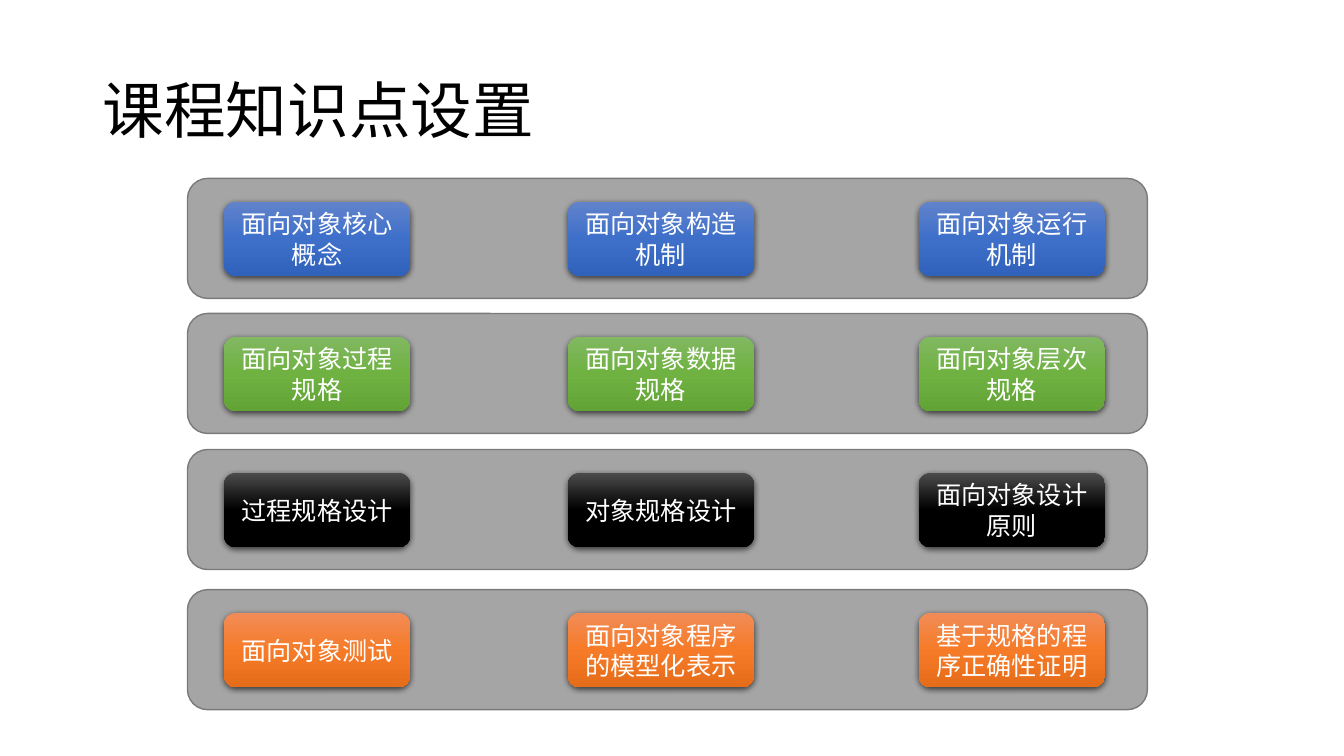
from dataclasses import dataclass

from lxml import etree
from pptx import Presentation, util as u
from pptx.dml.color import RGBColor
from pptx.enum import shapes, text
from pptx.oxml.ns import qn
from pptx.shapes.autoshape import Shape
from pptx.slide import Slide

Gradient = tuple[str, str, str]


@dataclass(frozen=True)
class Theme:
    font: str = "Calibri"
    title_size: int = 44
    card_size: int = 18
    title_color: str = "000000"
    card_text: str = "FFFFFF"
    band_fill: str = "A5A5A5"
    band_line: str = "7A7A7A"
    shadow: str = "000000"
    blue: Gradient = ("6183CB", "3E70CA", "3062BB")
    green: Gradient = ("81B861", "6FB242", "62A336")
    black: Gradient = ("4B4B4B", "000000", "000000")
    orange: Gradient = ("F18C57", "F67B28", "E56C19")


@dataclass(frozen=True)
class Area:
    column: int
    row: int
    columns: int
    rows: int

    def lengths(self) -> list[int]:
        cells = (self.column, self.row, self.columns, self.rows)
        return [CELL * count for count in cells]


@dataclass(frozen=True)
class Band:
    row: int
    colors: Gradient
    topics: tuple[str, str, str]


THEME = Theme()
CELL = u.Inches(0.01)
PAGE_COLUMNS, PAGE_ROWS = 1333, 750
TITLE_AREA = Area(92, 40, 1150, 145)
BAND_COLUMN, BAND_COLUMNS, BAND_ROWS = 186, 952, 119
CARD_LEFTS, CARD_COLUMNS, CARD_ROWS = (222, 563, 911), 185, 74
CARD_INSET = (BAND_ROWS - CARD_ROWS + 1) // 2

BANDS = (
    Band(177, THEME.blue, ("面向对象核心概念", "面向对象构造机制", "面向对象运行机制")),
    Band(311, THEME.green, ("面向对象过程规格", "面向对象数据规格", "面向对象层次规格")),
    Band(446, THEME.black, ("过程规格设计", "对象规格设计", "面向对象设计原则")),
    Band(585, THEME.orange, ("面向对象测试", "面向对象程序的模型化表示", "基于规格的程序正确性证明")),
)


def write_text(box: Shape, words: str, size: int, color: str, align: text.PP_ALIGN) -> None:
    frame = box.text_frame
    frame.text = words
    frame.word_wrap = True
    frame.vertical_anchor = text.MSO_ANCHOR.MIDDLE
    para = frame.paragraphs[0]
    para.alignment = align
    for span in para.runs:
        span.font.name = THEME.font
        span.font.size = u.Pt(size)
        span.font.color.rgb = RGBColor.from_string(color)


def add_rounded(page: Slide, area: Area) -> Shape:
    box = page.shapes.add_shape(shapes.MSO_SHAPE.ROUNDED_RECTANGLE, *area.lengths())
    box.shadow.inherit = False
    return box


def set_gradient(box: Shape, colors: Gradient) -> None:
    box.fill.gradient()
    box.fill.gradient_angle = 270
    stops = next(box.element.iter(qn("a:gsLst")))
    stops.clear()
    for index, color in enumerate(colors):
        stop = etree.SubElement(stops, qn("a:gs"), pos=str(index * 50000))
        etree.SubElement(stop, qn("a:srgbClr"), val=color)


def set_shadow(box: Shape) -> None:
    effects = next(box.element.iter(qn("a:effectLst")))
    shadow = etree.SubElement(
        effects, qn("a:outerShdw"), blurRad=str(u.Pt(4.5)), dist=str(u.Pt(1.5)),
        dir="5400000", algn="ctr", rotWithShape="0",
    )
    color = etree.SubElement(shadow, qn("a:srgbClr"), val=THEME.shadow)
    etree.SubElement(color, qn("a:alpha"), val="63000")


def draw_card(page: Slide, area: Area, topic: str, colors: Gradient) -> None:
    card = add_rounded(page, area)
    set_gradient(card, colors)
    card.line.fill.background()
    set_shadow(card)
    write_text(card, topic, THEME.card_size, THEME.card_text, text.PP_ALIGN.CENTER)


def draw_band(page: Slide, band: Band) -> None:
    panel = add_rounded(page, Area(BAND_COLUMN, band.row, BAND_COLUMNS, BAND_ROWS))
    panel.fill.solid()
    panel.fill.fore_color.rgb = RGBColor.from_string(THEME.band_fill)
    panel.line.color.rgb = RGBColor.from_string(THEME.band_line)
    panel.line.width = u.Pt(1)
    for column, topic in zip(CARD_LEFTS, band.topics):
        area = Area(column, band.row + CARD_INSET, CARD_COLUMNS, CARD_ROWS)
        draw_card(page, area, topic, band.colors)


def draw_title(page: Slide, words: str) -> None:
    title = page.shapes.add_textbox(*TITLE_AREA.lengths())
    write_text(title, words, THEME.title_size, THEME.title_color, text.PP_ALIGN.LEFT)
    title.text_frame.paragraphs[0].line_spacing = 0.9


def main() -> None:
    deck = Presentation()
    deck.slide_width = CELL * PAGE_COLUMNS
    deck.slide_height = CELL * PAGE_ROWS
    page = deck.slides.add_slide(deck.slide_layouts[6])
    draw_title(page, "课程知识点设置")
    for band in BANDS:
        draw_band(page, band)
    deck.save("out.pptx")


if __name__ == "__main__":
    main()
